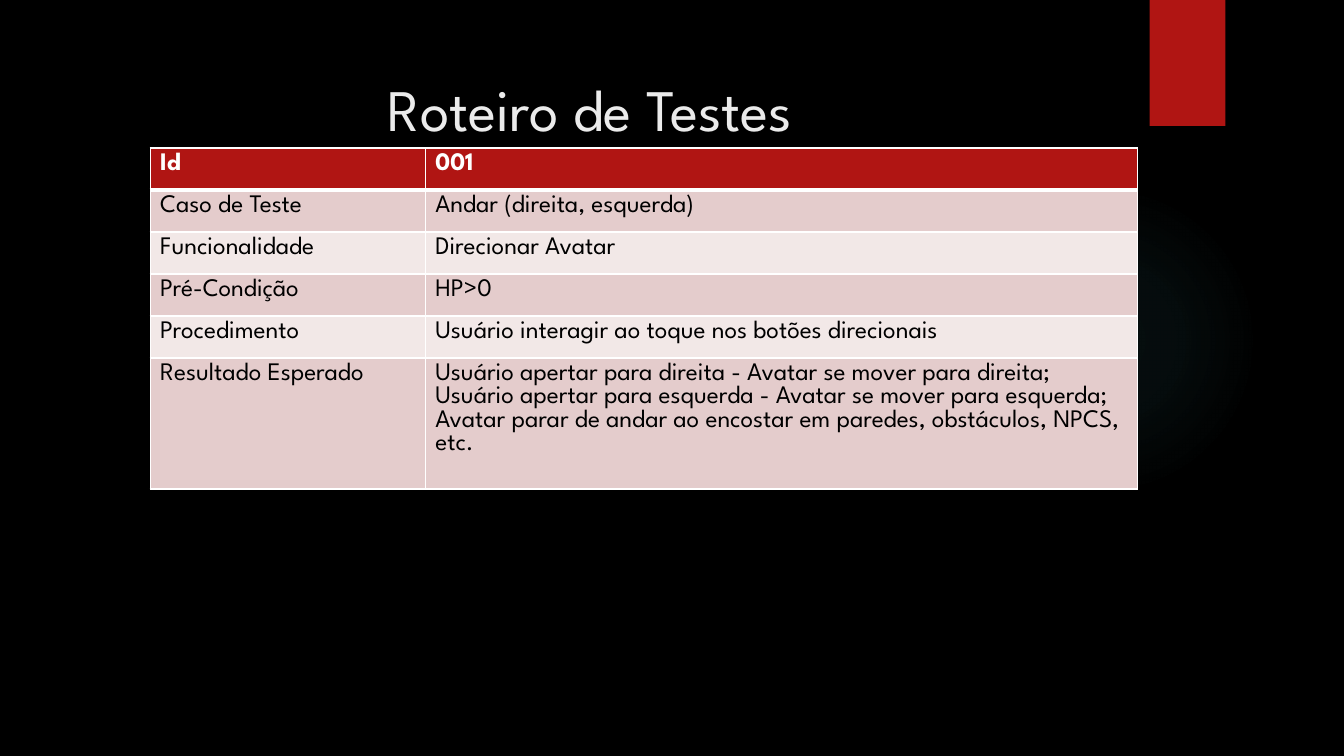
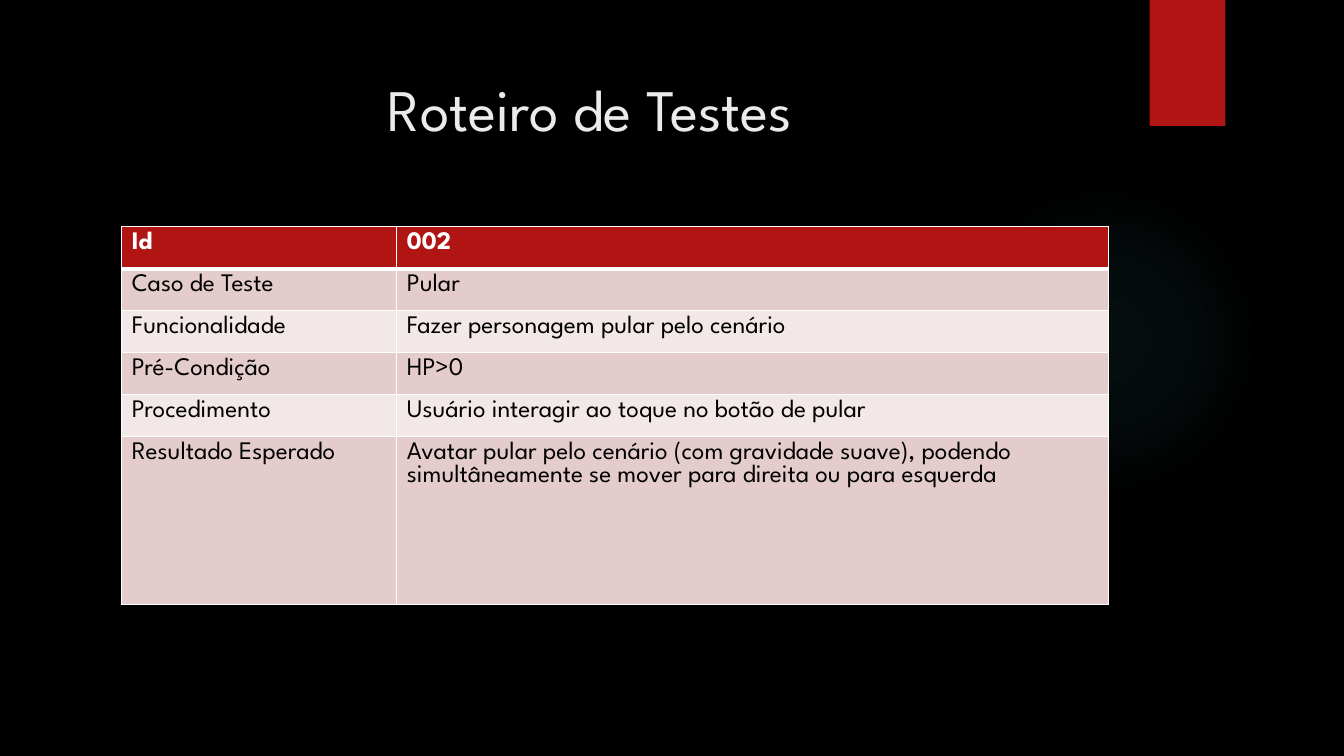
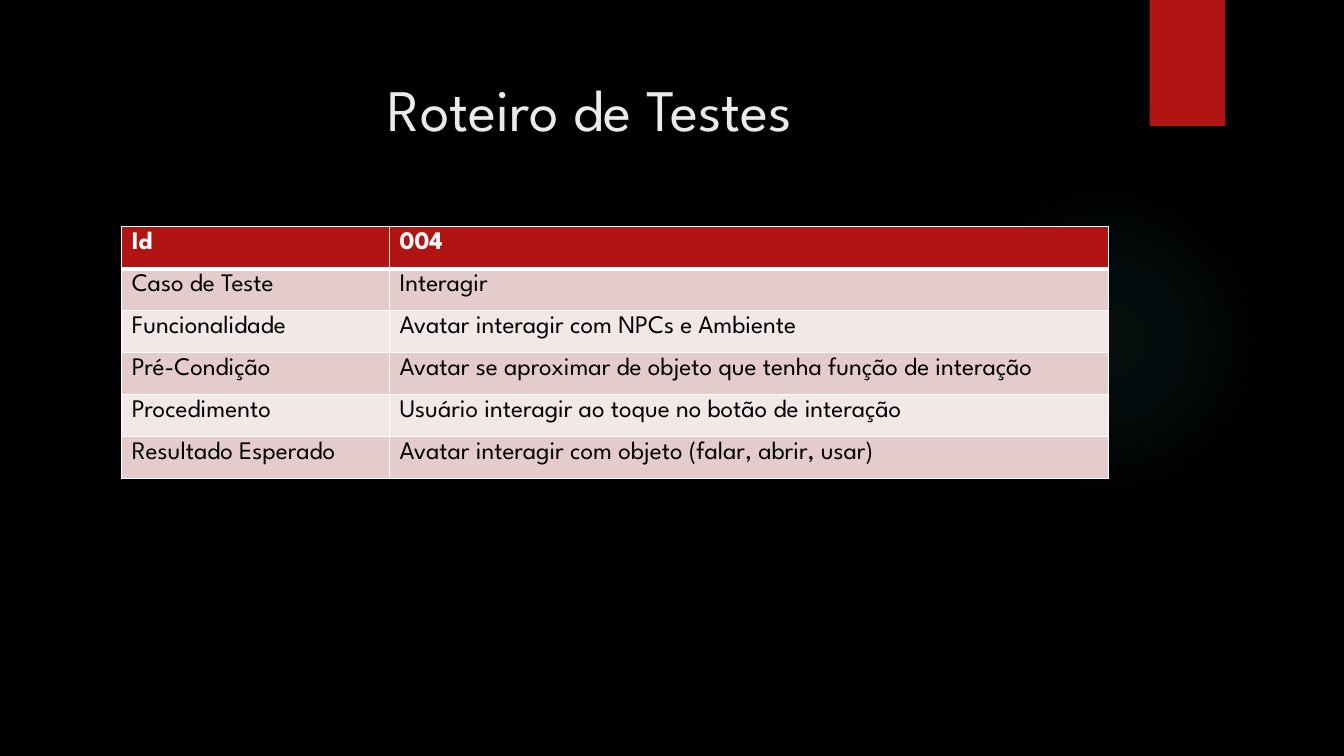
from dataclasses import dataclass

from lxml.etree import SubElement
from pptx import Presentation
from pptx.dml.color import RGBColor as RGB
from pptx.enum.shapes import MSO_SHAPE as SHAPE
from pptx.enum.text import MSO_ANCHOR as ANCHOR, PP_ALIGN as ALIGN
from pptx.oxml.ns import qn
from pptx.util import Emu, Pt


@dataclass(frozen=True)
class Theme:
    font: str = "League Spartan"
    background: str = "000000"
    accent: str = "B01513"
    glow: str = "50B9C1"
    title: str = "EBEBEB"
    light: str = "FFFFFF"
    dark: str = "000000"
    bands: tuple = ("E4CCCC", "F2E8E7")
    title_size: int = 42
    table_size: int = 18
    border: int = 1
    header_border: int = 3


T = Theme()
EMU_PER_PX = 9525
SLIDE_SIZE = (1280, 720)
GLOW_BOX = (903, 176, 296, 296)
TAB_BOX = (1095, 0, 72, 120)
TITLE_BOX = (68, 48, 988, 147)
TITLE_INSET = 21
TABLE_WIDTH = 940
ROW_HEIGHT = 40

TITLE = "Roteiro de Testes"
LABELS = ("Id", "Caso de Teste", "Funcionalidade", "Pré-Condição",
          "Procedimento", "Resultado Esperado")

TEST_CASES = (
    dict(
        at=(143, 141), label_width=262, result_height=98,
        values=(
            "001",
            "Andar (direita, esquerda)",
            "Direcionar Avatar",
            "HP>0",
            "Usuário interagir ao toque nos botões direcionais",
            "Usuário apertar para direita - Avatar se mover para direita;\n"
            "Usuário apertar para esquerda - Avatar se mover para esquerda;\n"
            "Avatar parar de andar ao encostar em paredes, obstáculos, NPCS, etc.",
        ),
    ),
    dict(
        at=(116, 216), label_width=262, result_height=160,
        values=(
            "002",
            "Pular",
            "Fazer personagem pular pelo cenário",
            "HP>0",
            "Usuário interagir ao toque no botão de pular",
            "Avatar pular pelo cenário (com gravidade suave), podendo "
            "simultâneamente se mover para direita ou para esquerda",
        ),
    ),
    dict(
        at=(116, 216), label_width=255, result_height=ROW_HEIGHT,
        values=(
            "004",
            "Interagir",
            "Avatar interagir com NPCs e Ambiente",
            "Avatar se aproximar de objeto que tenha função de interação",
            "Usuário interagir ao toque no botão de interação",
            "Avatar interagir com objeto (falar, abrir, usar)",
        ),
    ),
)


def px(n):
    return Emu(n * EMU_PER_PX)


def emu_box(box):
    return [px(n) for n in box]


def write(tf, text, *, size, color, bold=False, align=ALIGN.LEFT):
    for i, line in enumerate(text.split("\n")):
        p = tf.add_paragraph() if i else tf.paragraphs[0]
        p.alignment = align
        r = p.add_run()
        r.text = line
        r.font.name = T.font
        r.font.size = Pt(size)
        r.font.bold = bold
        r.font.color.rgb = RGB.from_string(color)


def add_plain_shape(s, kind, box):
    sp = s.shapes.add_shape(kind, *emu_box(box))
    sp.shadow.inherit = False
    sp.line.fill.background()
    return sp


def add_glow(s, box):
    sp = add_plain_shape(s, SHAPE.OVAL, box)
    sp.fill.gradient()
    grad = sp.element.spPr.find(qn("a:gradFill"))
    for child in list(grad):
        grad.remove(child)
    stops = SubElement(grad, qn("a:gsLst"))
    for position, alpha in ((0, 7), (36, 6), (69, 0)):
        stop = SubElement(stops, qn("a:gs"), pos=str(position * 1000))
        color = SubElement(stop, qn("a:srgbClr"), val=T.glow)
        SubElement(color, qn("a:alpha"), val=str(alpha * 1000))
    circle = SubElement(grad, qn("a:path"), path="circle")
    SubElement(circle, qn("a:fillToRect"), l="50000", t="50000", r="50000", b="50000")


def add_tab(s, box):
    sp = add_plain_shape(s, SHAPE.RECTANGLE, box)
    sp.fill.solid()
    sp.fill.fore_color.rgb = RGB.from_string(T.accent)


def add_title(s, box, text):
    tf = s.shapes.add_textbox(*emu_box(box)).text_frame
    tf.word_wrap = True
    tf.vertical_anchor = ANCHOR.TOP
    tf.margin_top = px(TITLE_INSET)
    write(tf, text, size=T.title_size, color=T.title, align=ALIGN.CENTER)


def set_borders(cell, **widths):
    tcPr = cell._tc.get_or_add_tcPr()
    for side in "LRTB":
        width = widths.get(side, T.border)
        ln = SubElement(tcPr, qn(f"a:ln{side}"), w=str(Pt(width)))
        SubElement(SubElement(ln, qn("a:solidFill")), qn("a:srgbClr"), val=T.light)


def format_cell(cell, text, row):
    header = row == 0
    if header:
        set_borders(cell, B=T.header_border)
    elif row == 1:
        set_borders(cell, T=T.header_border)
    else:
        set_borders(cell)
    cell.fill.solid()
    fill = T.accent if header else T.bands[(row - 1) % 2]
    cell.fill.fore_color.rgb = RGB.from_string(fill)
    write(cell.text_frame, text, size=T.table_size,
          color=T.light if header else T.dark, bold=header)


def add_test_table(s, at, label_width, result_height, values):
    heights = [ROW_HEIGHT] * (len(LABELS) - 1) + [result_height]
    box = (*at, TABLE_WIDTH, sum(heights))
    table = s.shapes.add_table(len(LABELS), 2, *emu_box(box)).table
    for column, width in zip(table.columns, (label_width, TABLE_WIDTH - label_width)):
        column.width = px(width)
    for i, (height, texts) in enumerate(zip(heights, zip(LABELS, values))):
        table.rows[i].height = px(height)
        for j, text in enumerate(texts):
            format_cell(table.cell(i, j), text, i)


def add_test_slide(prs, case):
    s = prs.slides.add_slide(prs.slide_layouts[6])
    s.background.fill.solid()
    s.background.fill.fore_color.rgb = RGB.from_string(T.background)
    add_glow(s, GLOW_BOX)
    add_tab(s, TAB_BOX)
    add_title(s, TITLE_BOX, TITLE)
    add_test_table(s, **case)


def main():
    prs = Presentation()
    prs.slide_width, prs.slide_height = emu_box(SLIDE_SIZE)
    for case in TEST_CASES:
        add_test_slide(prs, case)
    prs.save("out.pptx")


if __name__ == "__main__":
    main()
